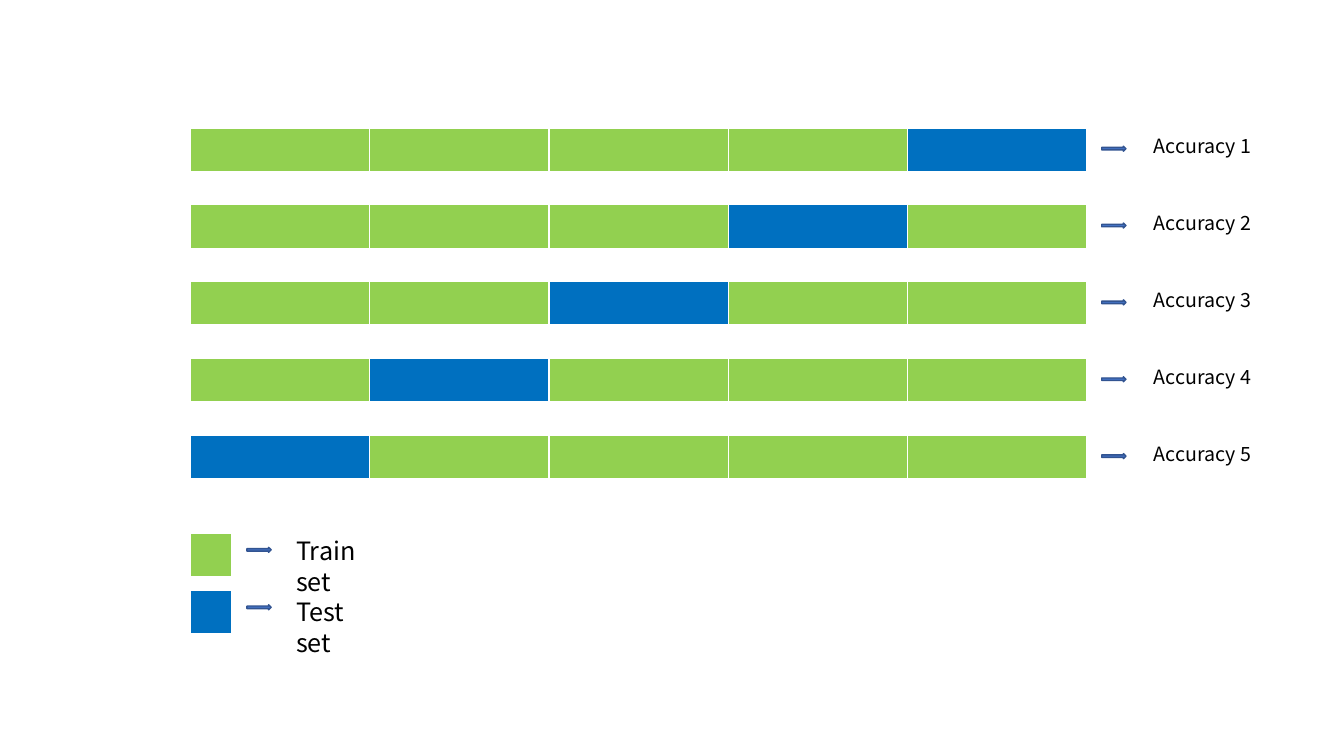
from collections import namedtuple
from dataclasses import dataclass

from pptx import Presentation, util as u
from pptx.dml.color import RGBColor
from pptx.enum import shapes, text


@dataclass(frozen=True)
class Theme:
    train: str = "92D050"
    test: str = "0070C0"
    arrow: str = "4472C4"
    arrow_line: str = "325491"
    ink: str = "000000"
    font: str = "Noto Sans CJK KR"
    score_size: int = 14
    legend_size: int = 18
    leading: float = 1.22


THEME = Theme()
Box = namedtuple("Box", "x y w h")
FOLDS = 5
BAR_H = 4.3


def grid(*cells):
    return [u.Inches(c / 10) for c in cells]


def paint(fill, color):
    fill.solid()
    fill.fore_color.rgb = RGBColor.from_string(color)


def add_bar(s, box, colors):
    table = s.shapes.add_table(1, len(colors), *grid(*box)).table
    margins = dict(margin_left=0, margin_right=0, margin_top=0, margin_bottom=0)
    for cell, color in zip(table.rows[0].cells, colors):
        paint(cell.fill, color)
        for name, value in margins.items():
            setattr(cell, name, value)


def add_arrow(s, x, y):
    sp = s.shapes.add_shape(shapes.MSO_SHAPE.RIGHT_ARROW, *grid(x, y, 2.4, 0.5))
    sp.shadow.inherit = False
    paint(sp.fill, THEME.arrow)
    paint(sp.line.fill, THEME.arrow_line)
    sp.line.width = u.Pt(1)


def add_label(s, box, words, size, wrap):
    tf = s.shapes.add_textbox(*grid(*box)).text_frame
    tf.word_wrap = wrap
    p = tf.paragraphs[0]
    p.alignment = text.PP_ALIGN.LEFT
    p.line_spacing = u.Pt(round(size * THEME.leading))
    r = p.add_run()
    r.text = words
    r.font.color.rgb = RGBColor.from_string(THEME.ink)
    for name, value in dict(name=THEME.font, size=u.Pt(size)).items():
        setattr(r.font, name, value)


def add_folds(s, box):
    pitch = (box.h - BAR_H) / (FOLDS - 1)
    bar_w = 88.9
    for fold in range(FOLDS):
        y = box.y + fold * pitch
        colors = [THEME.train] * FOLDS
        colors[-1 - fold] = THEME.test
        add_bar(s, Box(box.x, y, bar_w, BAR_H), colors)
        add_arrow(s, box.x + bar_w + 1.5, y + 1.8)
        add_label(s, Box(box.x + box.w - 11.7, y + 0.1, 11.7, 3.4),
                  f"Accuracy {fold + 1}", THEME.score_size, False)


def add_legend(s, box):
    entries = [("Train set", THEME.train), ("Test set", THEME.test)]
    pitch = box.h / len(entries)
    for i, (words, color) in enumerate(entries):
        y = box.y + i * pitch
        add_bar(s, Box(box.x, y, 4.1, BAR_H), [color])
        add_arrow(s, box.x + 5.6, y + 1.4)
        add_label(s, Box(box.x + 9.5, box.y - 0.3 + i * 6, box.w - 9.5, 4),
                  words, THEME.legend_size, True)


prs = Presentation()
prs.slide_width, prs.slide_height = grid(133.33, 75)
s = prs.slides.add_slide(prs.slide_layouts[6])
add_folds(s, Box(18.9, 12.7, 106.3, 34.8))
add_legend(s, Box(18.9, 52.9, 20.1, 11.4))
prs.save("out.pptx")
